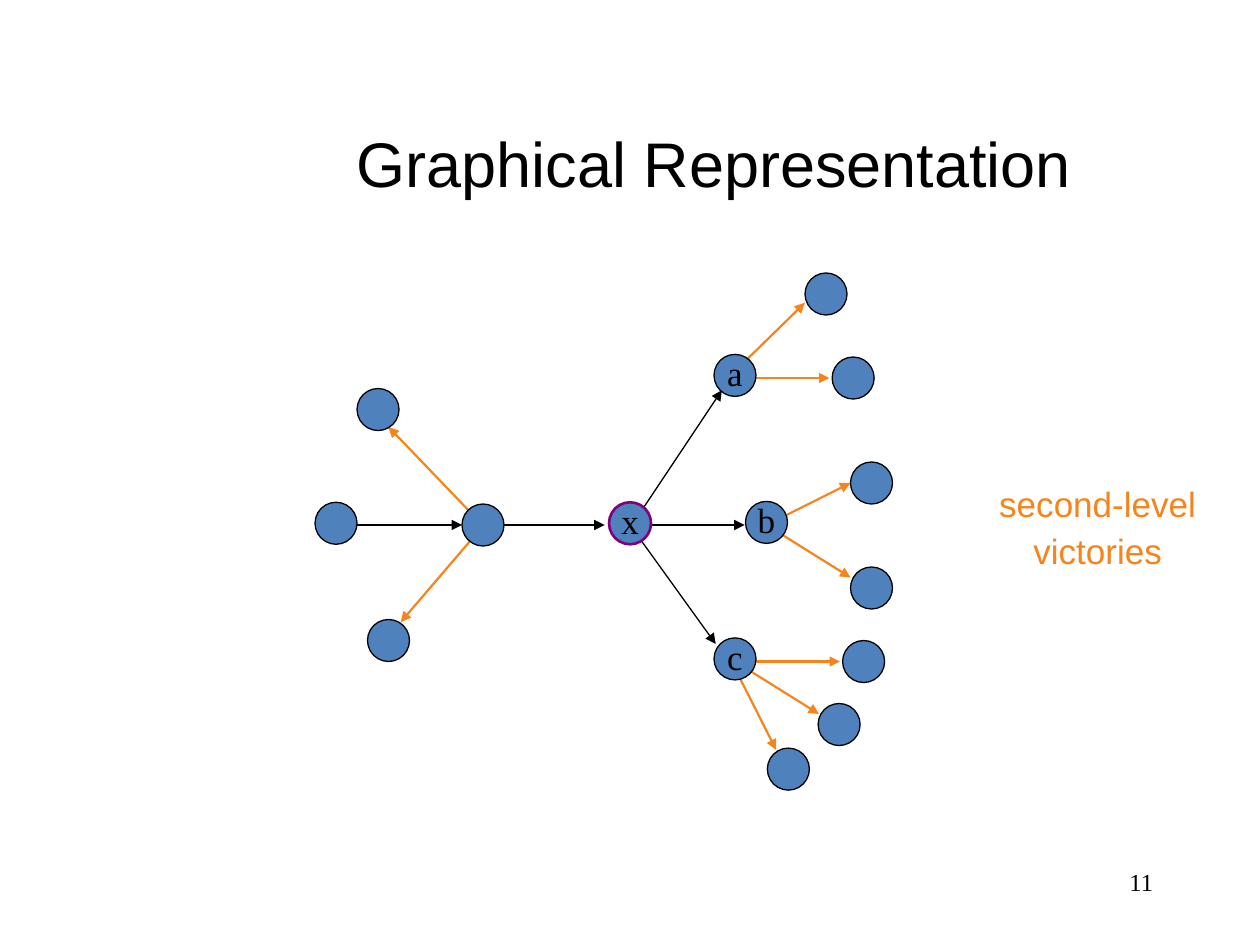
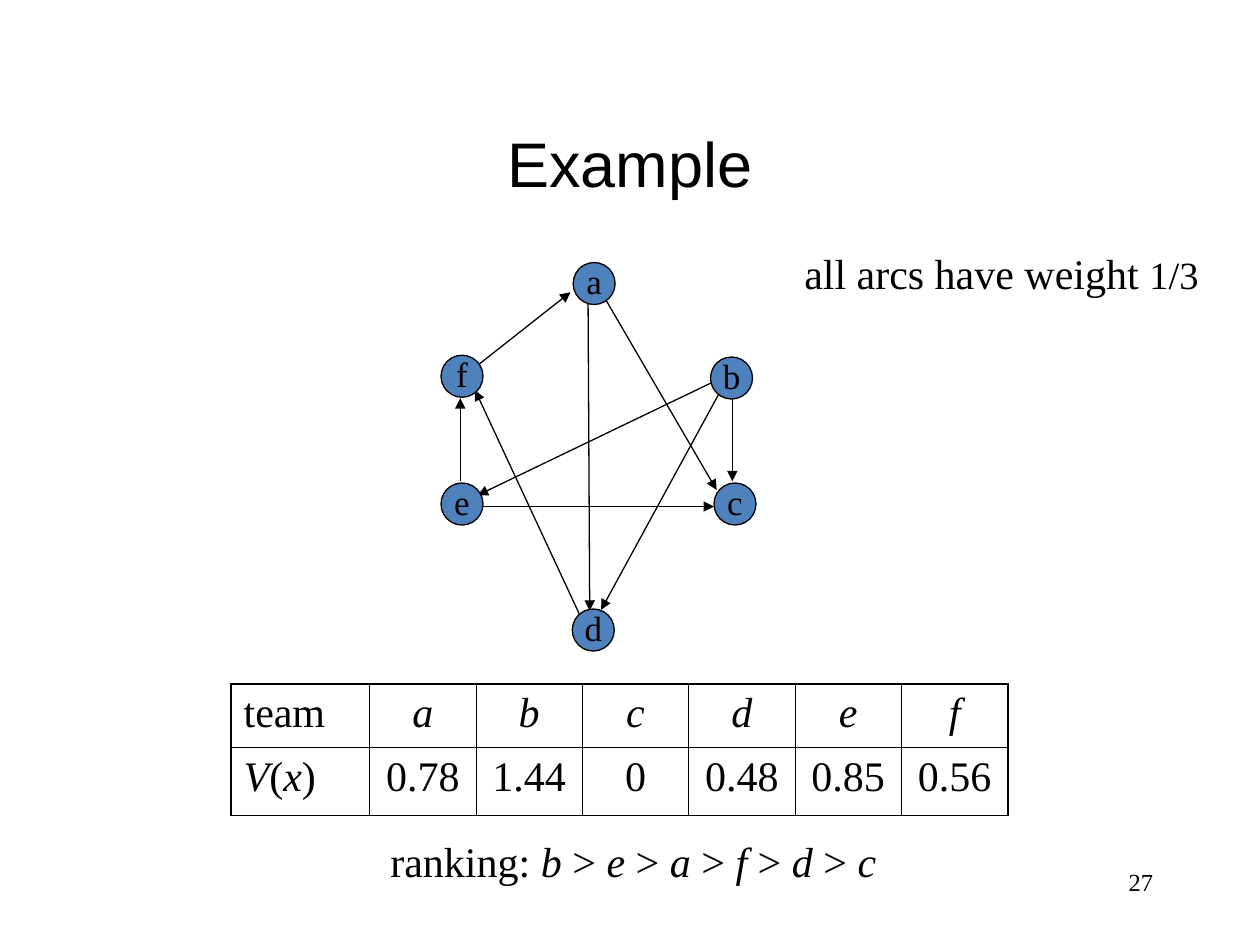
"""Build two tournament graph slides: second-level victories and a ranking example."""
from lxml import etree
from pptx import Presentation
from pptx.dml.color import RGBColor
from pptx.enum.shapes import MSO_CONNECTOR, MSO_SHAPE
from pptx.enum.text import MSO_ANCHOR, PP_ALIGN
from pptx.oxml.ns import qn
from pptx.util import Pt

LEFT, CENTER, RIGHT = PP_ALIGN.LEFT, PP_ALIGN.CENTER, PP_ALIGN.RIGHT
MIDDLE = MSO_ANCHOR.MIDDLE
OVAL = MSO_SHAPE.OVAL
STRAIGHT = MSO_CONNECTOR.STRAIGHT

BLACK = RGBColor(0x00, 0x00, 0x00)
BLUE = RGBColor(0x4F, 0x81, 0xBD)
ORANGE = RGBColor(0xF7, 0x84, 0x1B)
PURPLE = RGBColor(0x80, 0x00, 0x80)
SANS, SERIF = "Arial", "Times New Roman"

NODE_SIZE = 24
THIN, THICK = 0.45, 1.08
TITLE_ONLY = 5

VICTORY_ARCS = [
    (360, 300, 409, 368), (364.5, 295, 412.5, 223), (198, 300, 264, 300),
    (359.5, 300, 425.5, 300), (280, 300, 345.5, 300),
]
SECOND_LEVEL_ARCS = [
    (270, 294, 222, 244), (276.5, 300, 229, 355.5), (420, 378, 480, 378),
    (420, 378, 468, 408), (419, 380, 443.5, 428.5), (438, 300, 486, 276),
    (438, 300, 486, 330), (417.5, 214.5, 460, 173), (426, 216, 474, 216),
]
UNNAMED_TEAMS = [
    (204, 222), (180, 287), (264, 288), (210, 354), (460, 156), (475.5, 204),
    (486, 264), (486, 324), (481.5, 366), (467.5, 402), (438.5, 427.5),
]
NAMED_TEAMS = {"a": (408, 202.5), "b": (426, 286.5), "c": (408, 364.5)}

EXAMPLE_ARCS = [
    (263, 275, 263, 227.5), (415.5, 216.5, 343.5, 348.5),
    (418.5, 211, 418.5, 275), (342.5, 165, 409.5, 280),
    (272, 209.5, 326, 167), (336, 361.5, 271.5, 223),
    (276, 289.5, 408, 289.5), (336, 163.5, 337, 349), (418.5, 213, 273, 283),
]
EXAMPLE_TEAMS = {
    "a": (327.5, 150), "b": (406, 204), "c": (408, 276),
    "d": (327, 348), "e": (252, 276), "f": (252, 203),
}
VALUE_ROWS = [
    ["team", "*a*", "*b*", "*c*", "*d*", "*e*", "*f*"],
    ["*V*(*x*)", "0.78", "1.44", "0", "0.48", "0.85", "0.56"],
]


def write(p, text, size, name=SERIF, color=BLACK, align=LEFT):
    """Fill a paragraph, with the parts between asterisks in italics."""
    p.alignment = align
    p.font.size, p.font.name = Pt(size), name
    p.font.color.rgb = color
    for i, part in enumerate(text.split("*")):
        if part:
            r = p.add_run()
            r.text = part
            if i % 2:
                r.font.italic = True


def add_text(slide, box, text, size, **style):
    """Add a text box and return its paragraph."""
    tf = slide.shapes.add_textbox(*map(Pt, box)).text_frame
    tf.word_wrap = True
    p = tf.paragraphs[0]
    write(p, text, size, **style)
    return p


def add_slide(prs, title, left, width, number):
    """Add a slide with its title and slide number."""
    slide = prs.slides.add_slide(prs.slide_layouts[TITLE_ONLY])
    sp = slide.shapes.title
    sp.left, sp.top, sp.width, sp.height = map(Pt, (left, 48, width, 90))
    sp.text_frame.vertical_anchor = MIDDLE
    write(sp.text_frame.paragraphs[0], title, 36, SANS, align=CENTER)
    add_text(slide, (516, 492, 150, 36), number, 14, align=RIGHT)
    return slide


def add_arcs(slide, arcs, color=BLACK, width=0.75):
    """Add arrows given by their start and end points."""
    for arc in arcs:
        sp = slide.shapes.add_connector(STRAIGHT, *map(Pt, arc))
        sp.line.color.rgb = color
        sp.line.width = Pt(width)
        etree.SubElement(sp.line._get_or_add_ln(), qn("a:tailEnd"), type="triangle")
        etree.SubElement(sp._element.spPr, qn("a:effectLst"))


def add_node(slide, left, top, label="", color=BLACK, width=0.75):
    """Add a team circle with an optional letter."""
    sp = slide.shapes.add_shape(OVAL, Pt(left), Pt(top), Pt(NODE_SIZE), Pt(NODE_SIZE))
    sp.shadow.inherit = False
    sp.fill.solid()
    sp.fill.fore_color.rgb = BLUE
    sp.line.color.rgb = color
    sp.line.width = Pt(width)
    if label:
        tf = sp.text_frame
        tf.word_wrap = False
        tf.vertical_anchor = MIDDLE
        tf.margin_left = tf.margin_right = tf.margin_top = 0
        tf.margin_bottom = Pt(3)
        write(tf.paragraphs[0], label, 20, align=CENTER)


def add_border(cell, side, width):
    """Draw one black side of a table cell."""
    ln = etree.SubElement(cell._tc.get_or_add_tcPr(), qn(f"a:ln{side}"), w=str(Pt(width)))
    fill = etree.SubElement(ln, qn("a:solidFill"))
    etree.SubElement(fill, qn("a:srgbClr"), val=str(BLACK))


def add_value_table(slide, rows):
    """Add the table of team values with a thicker outer frame."""
    last_row, last_col = len(rows) - 1, len(rows[0]) - 1
    frame = slide.shapes.add_table(last_row + 1, last_col + 1, Pt(132), Pt(391), Pt(444), Pt(75))
    table = frame.table
    table.first_row = table.horz_banding = False
    for row, height in zip(table.rows, (36, 39)):
        row.height = Pt(height)
    for j, col in enumerate(table.columns):
        col.width = Pt(60.8 if j else 79.2)
    for i, texts in enumerate(rows):
        for j, text in enumerate(texts):
            cell = table.cell(i, j)
            outer = {"L": j == 0, "R": j == last_col, "T": i == 0, "B": i == last_row}
            for side, is_outer in outer.items():
                add_border(cell, side, THICK if is_outer else THIN)
            cell.fill.background()
            write(cell.text_frame.paragraphs[0], text, 24, align=CENTER if j else LEFT)


def build_representation(prs):
    """Build the slide on second-level victories."""
    slide = add_slide(prs, "Graphical Representation", 96, 624, "11")
    add_arcs(slide, SECOND_LEVEL_ARCS, ORANGE, 1.25)
    add_arcs(slide, VICTORY_ARCS)
    for place in UNNAMED_TEAMS:
        add_node(slide, *place)
    for label, place in NAMED_TEAMS.items():
        add_node(slide, *place, label)
    add_node(slide, 348, 287, "x", PURPLE, 1.5)
    p = add_text(slide, (557.5, 270, 139.5, 60), "second-level victories", 20,
                 name=SANS, color=ORANGE, align=CENTER)
    p.line_spacing = 1.1


def build_example(prs):
    """Build the slide with the example graph, values and ranking."""
    slide = add_slide(prs, "Example", 48, 624, "27")
    add_arcs(slide, EXAMPLE_ARCS)
    for label, place in EXAMPLE_TEAMS.items():
        add_node(slide, *place, label)
    add_value_table(slide, VALUE_ROWS)
    add_text(slide, (216, 474, 306, 36),
             "ranking: *b* > *e* > *a* > *f* > *d* > *c*", 24)
    p = add_text(slide, (452.5, 138, 250, 36), "all arcs have weight ", 24)
    r = p.add_run()
    r.text = "1/3"
    r.font.size = Pt(22)


def main():
    """Build and save the presentation."""
    prs = Presentation()
    prs.slide_width, prs.slide_height = Pt(720), Pt(540)
    build_representation(prs)
    build_example(prs)
    prs.save("out.pptx")


if __name__ == "__main__":
    main()
